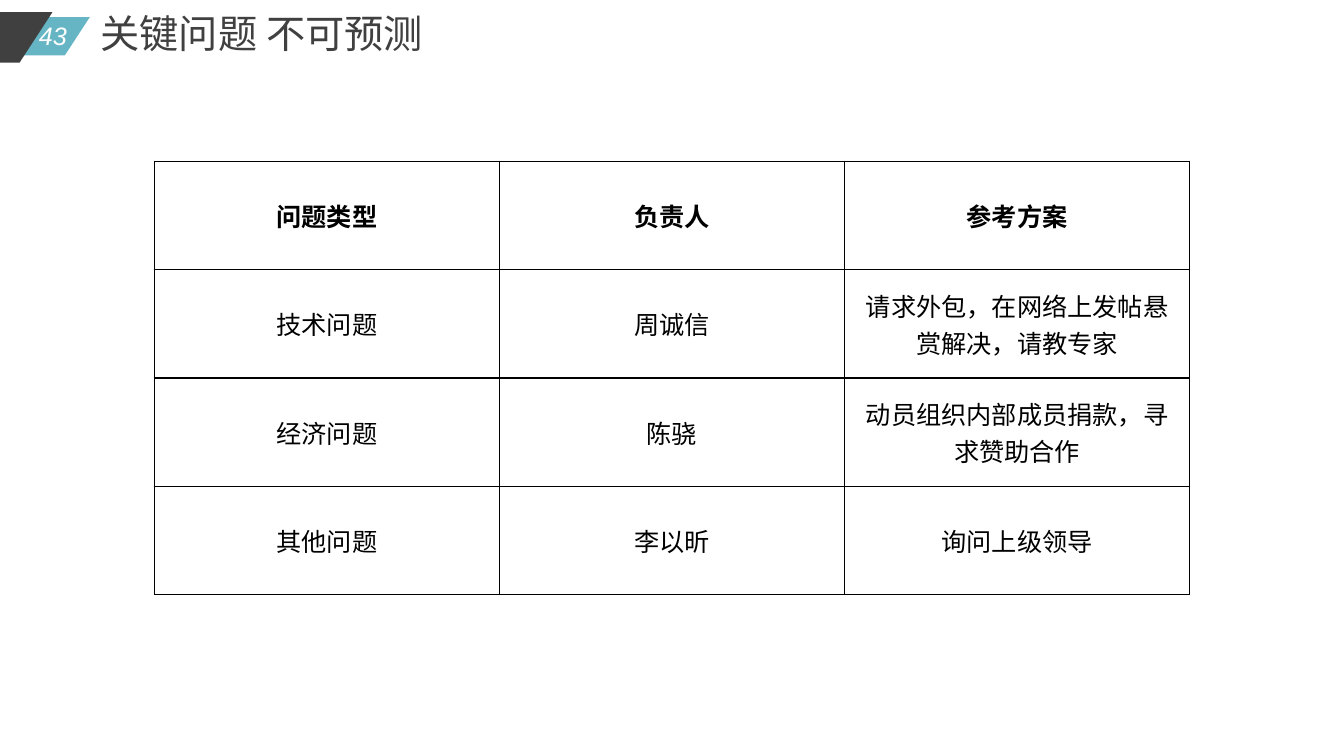
import dataclasses
import lxml.etree
import pptx
import pptx.dml.color
import pptx.enum.shapes
import pptx.enum.text
import pptx.oxml.ns
import pptx.slide
import pptx.table
import pptx.text.text
import pptx.util

Inches = pptx.util.Inches
ALIGN = pptx.enum.text.PP_ALIGN
COLORS = {"teal": "66B5C4", "charcoal": "404040", "white": "FFFFFF", "black": "000000"}
CHINESE_FONT = "Noto Sans CJK SC"


@dataclasses.dataclass(frozen=True)
class Banner:
    left: float
    top: float
    width: float
    height: float
    color: str


@dataclasses.dataclass(frozen=True)
class TextStyle:
    size: int
    color: str
    font: str = "Arial"
    bold: bool = False
    italic: bool = False
    align: ALIGN = ALIGN.CENTER


@dataclasses.dataclass(frozen=True)
class Label:
    text: str
    left: float
    top: float
    width: float
    height: float
    style: TextStyle


BANNERS = [
    Banner(-1.1, 0.17, 1.99, 0.38, "teal"),
    Banner(-2.08, 0.12, 2.6, 0.5, "charcoal"),
]
LABELS = [
    Label("43", 0.27, 0.15, 0.51, 0.4, TextStyle(18, "white", italic=True)),
    Label("关键问题 不可预测", 0.9, 0.04, 3.45, 0.57,
          TextStyle(28, "charcoal", CHINESE_FONT, align=ALIGN.LEFT)),
]
HEADER_STYLE = TextStyle(18, "black", bold=True)
BODY_STYLE = TextStyle(18, "black")
ISSUES = [
    ("问题类型", "负责人", "参考方案"),
    ("技术问题", "周诚信", "请求外包，在网络上发帖悬赏解决，请教专家"),
    ("经济问题", "陈骁", "动员组织内部成员捐款，寻求赞助合作"),
    ("其他问题", "李以昕", "询问上级领导"),
]


def rgb(name: str) -> pptx.dml.color.RGBColor:
    return pptx.dml.color.RGBColor.from_string(COLORS[name])


def write_text(frame: pptx.text.text.TextFrame, text: str, style: TextStyle) -> None:
    para = frame.paragraphs[0]
    para.alignment = style.align
    span = para.add_run()
    span.text = text
    font = span.font
    font.size = pptx.util.Pt(style.size)
    font.name = style.font
    font.bold = style.bold
    font.italic = style.italic
    font.color.rgb = rgb(style.color)
    east_asian = lxml.etree.Element(pptx.oxml.ns.qn("a:ea"), typeface=CHINESE_FONT)
    font._element.find(pptx.oxml.ns.qn("a:latin")).addnext(east_asian)


def draw_banner(page: pptx.slide.Slide, banner: Banner) -> None:
    shape = page.shapes.add_shape(
        pptx.enum.shapes.MSO_SHAPE.PARALLELOGRAM,
        Inches(banner.left), Inches(banner.top), Inches(banner.width), Inches(banner.height))
    shape.adjustments[0] = 0.652
    shape.rotation = 180
    shape.shadow.inherit = False
    shape.fill.solid()
    shape.fill.fore_color.rgb = rgb(banner.color)
    shape.line.fill.background()


def draw_label(page: pptx.slide.Slide, label: Label) -> None:
    box = page.shapes.add_textbox(
        Inches(label.left), Inches(label.top), Inches(label.width), Inches(label.height))
    box.text_frame.word_wrap = False
    box.text_frame.auto_size = pptx.enum.text.MSO_AUTO_SIZE.SHAPE_TO_FIT_TEXT
    write_text(box.text_frame, label.text, label.style)


def style_cell(cell: pptx.table._Cell) -> None:
    qn = pptx.oxml.ns.qn
    properties = cell._tc.get_or_add_tcPr()
    for side in ("a:lnL", "a:lnR", "a:lnT", "a:lnB"):
        border = lxml.etree.SubElement(properties, qn(side), w=str(pptx.util.Pt(1)))
        paint = lxml.etree.SubElement(border, qn("a:solidFill"))
        lxml.etree.SubElement(paint, qn("a:srgbClr"), val=COLORS["black"])
    cell.fill.solid()
    cell.fill.fore_color.rgb = rgb("white")
    cell.vertical_anchor = pptx.enum.text.MSO_ANCHOR.MIDDLE


def draw_issue_table(page: pptx.slide.Slide) -> None:
    table = page.shapes.add_table(
        len(ISSUES), len(ISSUES[0]),
        Inches(1.53), Inches(1.6), Inches(10.27), Inches(4.3)).table
    table.first_row = False
    table.horz_banding = False
    for row, issue in enumerate(ISSUES):
        for column, text in enumerate(issue):
            cell = table.cell(row, column)
            style_cell(cell)
            write_text(cell.text_frame, text, BODY_STYLE if row else HEADER_STYLE)


def main() -> None:
    deck = pptx.Presentation()
    deck.slide_width = Inches(13.33)
    deck.slide_height = Inches(7.5)
    page = deck.slides.add_slide(deck.slide_layouts[6])
    for banner in BANNERS:
        draw_banner(page, banner)
    for label in LABELS:
        draw_label(page, label)
    draw_issue_table(page)
    deck.save("out.pptx")


if __name__ == "__main__":
    main()
